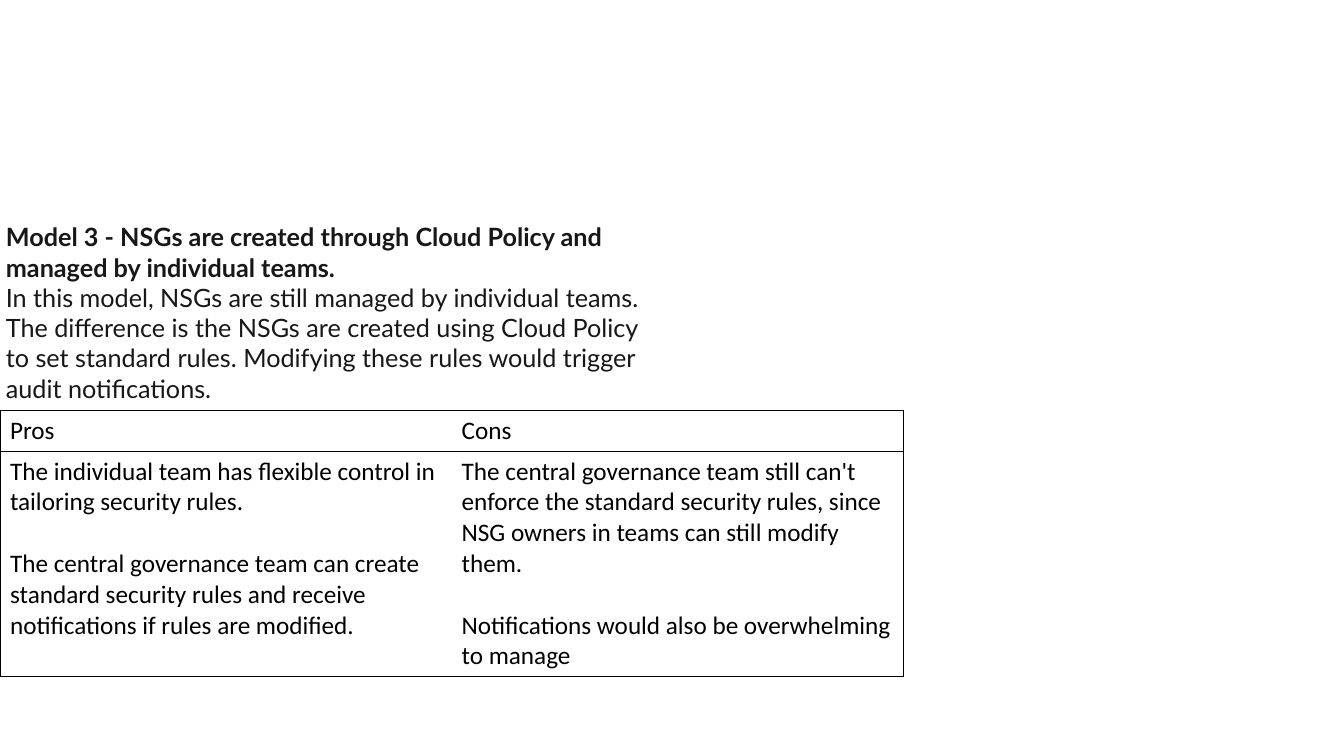
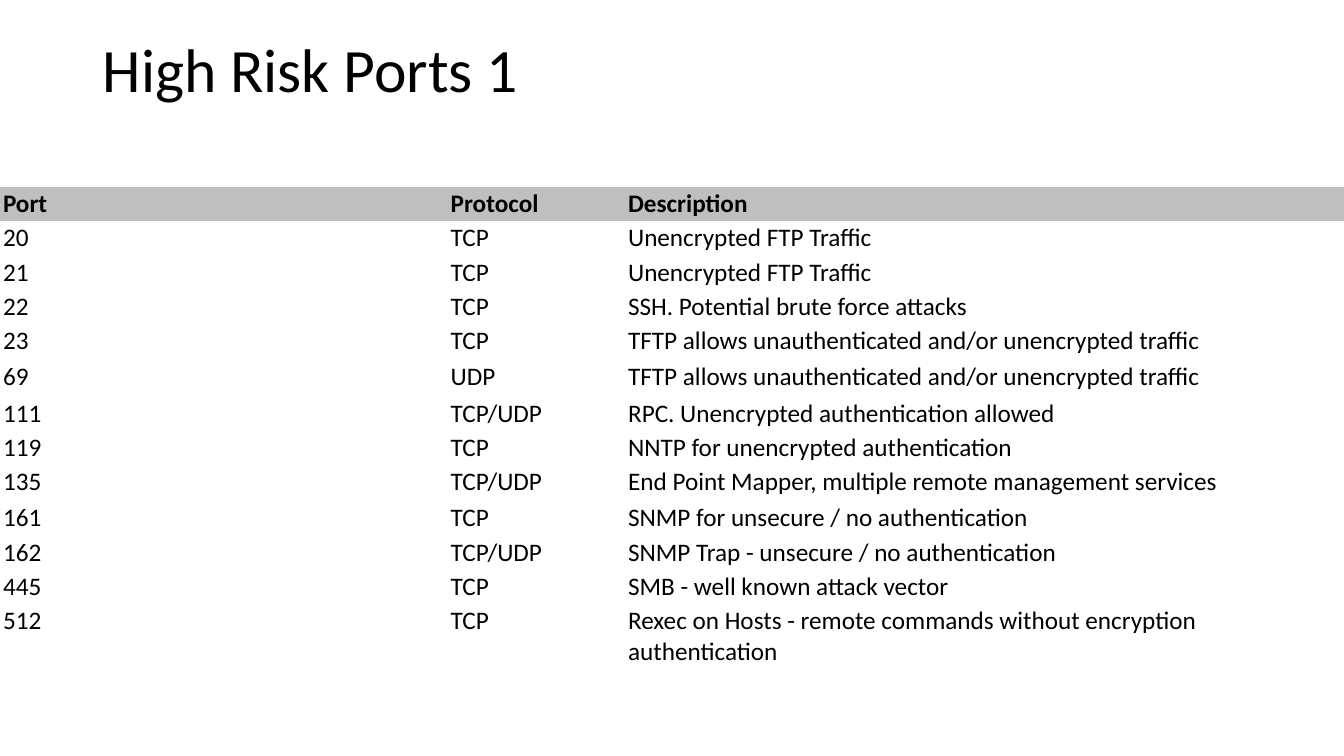
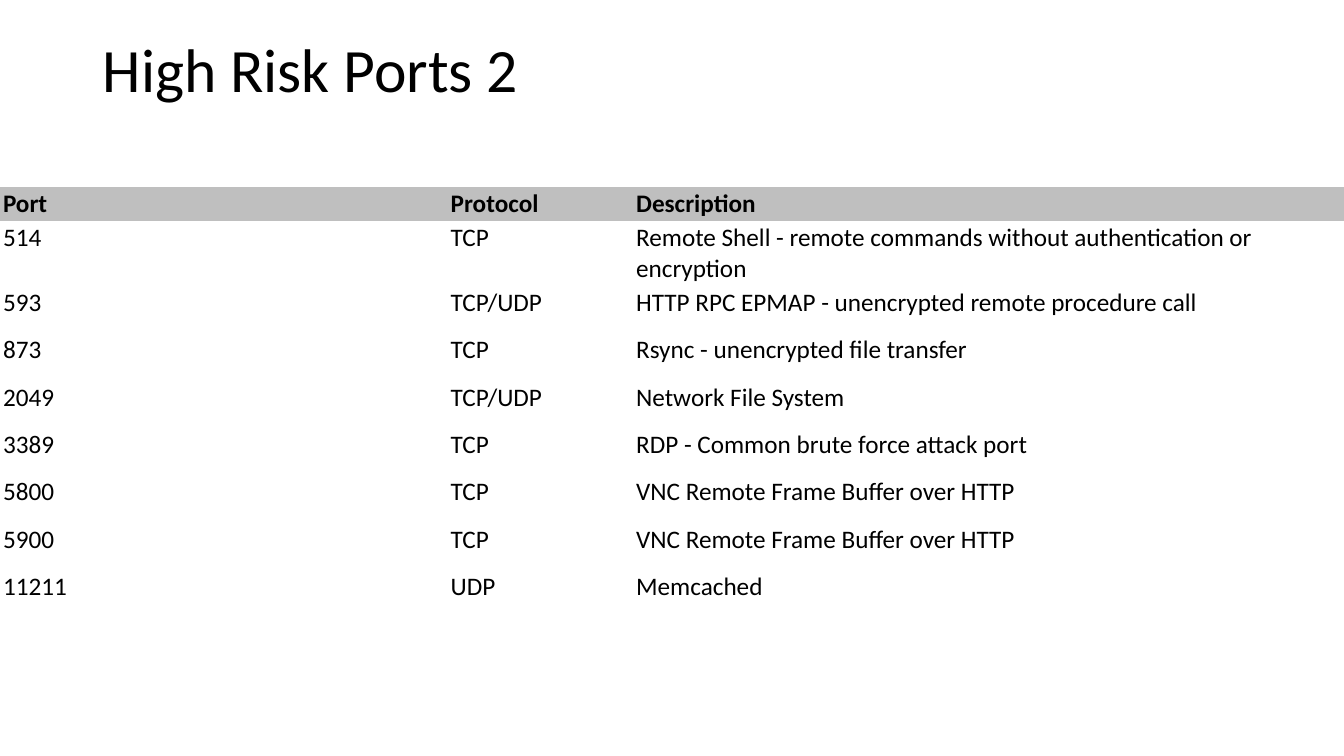
from dataclasses import dataclass, field

from lxml.etree import SubElement
from pptx import Presentation
from pptx.dml.color import RGBColor
from pptx.enum.text import MSO_ANCHOR as Anchor, MSO_AUTO_SIZE as AutoSize
from pptx.oxml.ns import qn
from pptx.slide import Slide
from pptx.table import Table, _Cell as Cell
from pptx.text.text import TextFrame
from pptx.util import Inches, Length, Pt

BLACK = RGBColor(0x00, 0x00, 0x00)
INK = RGBColor(0x17, 0x17, 0x17)
WHITE = RGBColor(0xFF, 0xFF, 0xFF)
GREY = RGBColor(0xBF, 0xBF, 0xBF)
SLIDE_W, SLIDE_H = Inches(13.33), Inches(7.5)
PLAIN_TABLE = "{2D5ABB26-0587-4C30-8999-92F81FD0307C}"
LINE_GAP = Pt(22)


@dataclass(frozen=True)
class Style:
    """Font settings of a paragraph."""
    size: int = 18
    bold: bool = False
    name: str = "Calibri"
    color: RGBColor = BLACK


@dataclass(frozen=True)
class Box:
    """A frame in percent of the slide's width and height."""
    left: float
    top: float
    width: float
    height: float


@dataclass(frozen=True)
class PortPage:
    """A page of ports; heights are percent of the slide's height."""
    title: str
    protocol_width: float
    row_height: float
    ports: list[tuple[str, str, str]]
    special_heights: dict[str, float] = field(default_factory=dict)


BODY, HEAD, TITLE = Style(), Style(bold=True), Style(size=44)
TITLE_BOX = Box(6.9, 0, 86.27, 19.33)
MODEL_BOX = Box(-0.3, 28.67, 50.26, 25.6)
MODEL_TOP, MODEL_COL = 54.27, 33.6
MODEL_ROWS = [5.33, 29.33]
PORT_TOP, PORT_COL, HEAD_ROW = 24.67, 33.31, 4.4
PORT_HEAD = ("Port", "Protocol", "Description")

MODEL_TEXT = [
    ("Model 3 - NSGs are created through Cloud Policy and managed by "
     "individual teams.", Style(bold=True, name="Lato", color=INK)),
    ("In this model, NSGs are still managed by individual teams. The "
     "difference is the NSGs are created using Cloud Policy to set standard "
     "rules. Modifying these rules would trigger audit notifications.",
     Style(name="Lato", color=INK)),
]
MODEL_CELLS = [
    (["Pros"], ["Cons"]),
    (["The individual team has flexible control in tailoring security rules.",
      "The central governance team can create standard security rules and "
      "receive notifications if rules are modified."],
     ["The central governance team still can't enforce the standard security "
      "rules, since NSG owners in teams can still modify them.",
      "Notifications would also be overwhelming to manage"]),
]
PORT_PAGES = [
    PortPage("High Risk Ports 1", 13.2, 4.4, [
        ("20", "TCP", "Unencrypted FTP Traffic"),
        ("21", "TCP", "Unencrypted FTP Traffic"),
        ("22", "TCP", "SSH. Potential brute force attacks"),
        ("23", "TCP", "TFTP allows unauthenticated and/or unencrypted traffic"),
        ("69", "UDP", "TFTP allows unauthenticated and/or unencrypted traffic"),
        ("111", "TCP/UDP", "RPC. Unencrypted authentication allowed"),
        ("119", "TCP", "NNTP for unencrypted authentication"),
        ("135", "TCP/UDP",
         "End Point Mapper, multiple remote management services"),
        ("161", "TCP", "SNMP for unsecure / no authentication"),
        ("162", "TCP/UDP", "SNMP Trap - unsecure / no authentication"),
        ("445", "TCP", "SMB - well known attack vector"),
        ("512", "TCP", "Rexec on Hosts - remote commands without encryption "
                       "authentication"),
    ], {"23": 4.8, "69": 4.8, "135": 4.8, "512": 8.53}),
    PortPage("High Risk Ports 2", 13.8, 6.27, [
        ("514", "TCP", "Remote Shell - remote commands without authentication "
                       "or encryption"),
        ("593", "TCP/UDP", "HTTP RPC EPMAP - unencrypted remote procedure call"),
        ("873", "TCP", "Rsync - unencrypted file transfer"),
        ("2049", "TCP/UDP", "Network File System"),
        ("3389", "TCP", "RDP - Common brute force attack port"),
        ("5800", "TCP", "VNC Remote Frame Buffer over HTTP"),
        ("5900", "TCP", "VNC Remote Frame Buffer over HTTP"),
        ("11211", "UDP", "Memcached"),
    ], {"514": 8.53}),
]


def across(percent: float) -> Length:
    """Return a share of the slide's width."""
    return Length(round(SLIDE_W * percent / 100))


def down(percent: float) -> Length:
    """Return a share of the slide's height."""
    return Length(round(SLIDE_H * percent / 100))


def write(tf: TextFrame, lines: list[tuple[str, Style]], gap: Length = Pt(0)) -> None:
    """Fill a text frame with styled paragraphs set apart by a gap."""
    for i, (text, style) in enumerate(lines):
        p = tf.add_paragraph() if i else tf.paragraphs[0]
        p.text = text
        if i and gap:
            p.space_before = gap
        p.font.size, p.font.bold = Pt(style.size), style.bold
        p.font.name, p.font.color.rgb = style.name, style.color


def add_text(s: Slide, box: Box, lines: list[tuple[str, Style]]) -> TextFrame:
    """Add a wrapping text box and return its text frame."""
    sp = s.shapes.add_textbox(across(box.left), down(box.top),
                              across(box.width), down(box.height))
    tf = sp.text_frame
    tf.word_wrap = True
    write(tf, lines)
    return tf


def add_plain_table(s: Slide, top: float, widths: list[float],
                    heights: list[float]) -> Table:
    """Add an unstyled table at the slide's left edge."""
    table = s.shapes.add_table(len(heights), len(widths), 0, down(top),
                               across(sum(widths)), down(sum(heights))).table
    table._tbl.tblPr.find(qn("a:tableStyleId")).text = PLAIN_TABLE
    table.first_row = table.horz_banding = False
    for column, width in zip(table.columns, widths):
        column.width = across(width)
    for row, height in zip(table.rows, heights):
        row.height = down(height)
    return table


def fill_cell(cell: Cell, lines: list[str], style: Style = BODY,
              color: RGBColor = WHITE) -> None:
    """Set a cell's text and background."""
    write(cell.text_frame, [(line, style) for line in lines], LINE_GAP)
    cell.fill.solid()
    cell.fill.fore_color.rgb = color


def draw_borders(cell: Cell, sides: str) -> None:
    """Rule the given sides of a cell (in the order L, R, T, B)."""
    tc_pr = cell._tc.get_or_add_tcPr()
    for i, side in enumerate(sides):
        ln = SubElement(tc_pr, qn(f"a:ln{side}"), w=str(Pt(1)))
        fill = SubElement(ln, qn("a:solidFill"))
        SubElement(fill, qn("a:srgbClr"), val=str(BLACK))
        tc_pr.insert(i, ln)


def build_model(s: Slide) -> None:
    """Draw the management model with its pros and cons."""
    table = add_plain_table(s, MODEL_TOP, [MODEL_COL] * 2, MODEL_ROWS)
    for r, row in enumerate(MODEL_CELLS):
        for c, (lines, sides) in enumerate(zip(row, ("LTB", "RTB"))):
            fill_cell(table.cell(r, c), lines)
            draw_borders(table.cell(r, c), sides)
    tf = add_text(s, MODEL_BOX, MODEL_TEXT)
    tf.auto_size = AutoSize.SHAPE_TO_FIT_TEXT


def build_ports(s: Slide, page: PortPage) -> None:
    """Draw a titled table of ports."""
    tf = add_text(s, TITLE_BOX, [(page.title, TITLE)])
    tf.vertical_anchor = Anchor.MIDDLE
    tf.paragraphs[0].line_spacing = 0.9
    widths = [PORT_COL, page.protocol_width, 100 - PORT_COL - page.protocol_width]
    heights = [HEAD_ROW] + [page.special_heights.get(port, page.row_height)
                            for port, *_ in page.ports]
    table = add_plain_table(s, PORT_TOP, widths, heights)
    for r, row in enumerate([PORT_HEAD, *page.ports]):
        style, color = (BODY, WHITE) if r else (HEAD, GREY)
        for c, text in enumerate(row):
            cell = table.cell(r, c)
            fill_cell(cell, [text], style, color)
            cell.margin_left = cell.margin_right = Inches(0.03)
            cell.margin_top = cell.margin_bottom = Inches(0.02)


def main() -> None:
    """Build and save the presentation."""
    prs = Presentation()
    prs.slide_width, prs.slide_height = SLIDE_W, SLIDE_H
    blank = prs.slide_layouts[6]
    build_model(prs.slides.add_slide(blank))
    for page in PORT_PAGES:
        build_ports(prs.slides.add_slide(blank), page)
    prs.save("out.pptx")


main()
